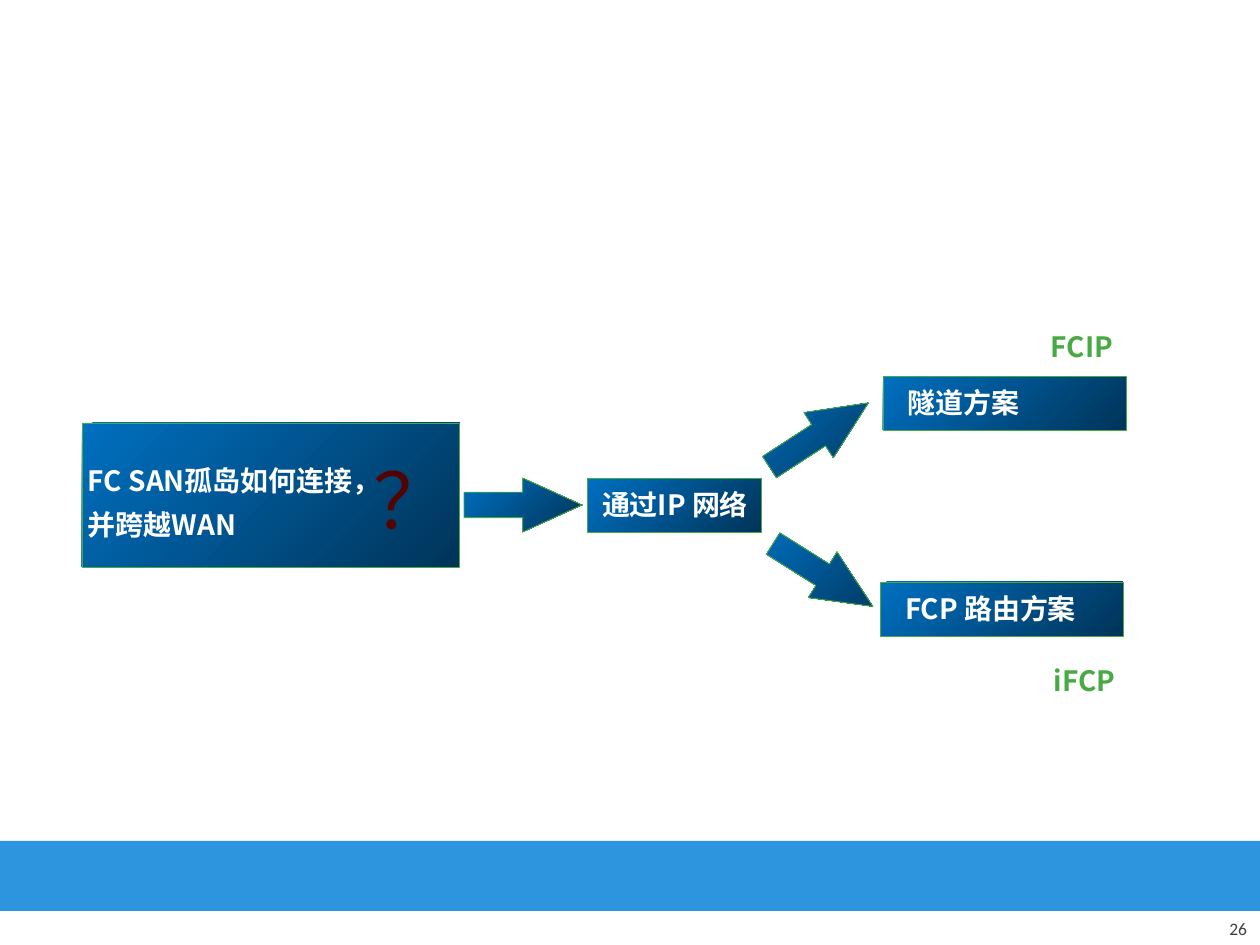
from pptx import Presentation
from pptx import util as u
from pptx.dml.color import RGBColor
from pptx.enum import shapes, text
from pptx.oxml.ns import qn

SCALE = 914400 / 126
CJK = "Noto Sans CJK SC"
COLORS = {
    "band": "2C95DD",
    "light": "0070C0",
    "dark": "003459",
    "green": "49A942",
    "white": "FFFFFF",
    "question": "520402",
    "number": "404040",
}


def px(value):
    """Turn pixels into EMU."""
    return u.Emu(round(value * SCALE))


def rgb(name):
    """Look up a named colour."""
    return RGBColor.from_string(COLORS[name])


def add_preset(slide, kind, box):
    """Add a preset shape without a shadow."""
    shape = slide.shapes.add_shape(kind, *map(px, box))
    shape.shadow.inherit = False
    return shape


def paint_gradient(shape):
    """Fill from upper left to lower right on the slide, whatever the rotation."""
    shape.fill.gradient()
    shape.fill.gradient_angle = (shape.rotation - 45) % 360
    for stop, name in zip(shape.fill.gradient_stops, ("light", "dark")):
        stop.color.rgb = rgb(name)
    shape.line.color.rgb = rgb("green")
    shape.line.width = u.Pt(0.5)


def write(shape, words, color, size=16, font=CJK, bold=True, left=6, top=10,
          right=6, align=text.PP_ALIGN.LEFT, wrap=True):
    """Put formatted lines of text into a shape."""
    frame = shape.text_frame
    frame.text = words
    frame.word_wrap = wrap
    frame.vertical_anchor = text.MSO_ANCHOR.TOP
    frame.margin_left, frame.margin_top = px(left), px(top)
    frame.margin_right, frame.margin_bottom = px(right), px(6)
    for index, paragraph in enumerate(frame.paragraphs):
        paragraph.alignment = align
        paragraph.line_spacing = u.Pt(round(size * 1.2))
        if index:
            paragraph.space_before = u.Pt(6)
        for run in paragraph.runs:
            run.font.size = u.Pt(size)
            run.font.bold = bold
            run.font.name = font
            run.font.color.rgb = rgb(color)
            east_asian = run.font._element.makeelement(qn("a:ea"), {"typeface": font})
            run.font._element.find(qn("a:latin")).addnext(east_asian)


def add_step(slide, box, words, **layout):
    """Add a gradient box with white text."""
    shape = add_preset(slide, shapes.MSO_SHAPE.RECTANGLE, box)
    paint_gradient(shape)
    write(shape, words, "white", **layout)


def add_arrow(slide, left, top, rotation=0):
    """Add a gradient block arrow."""
    shape = add_preset(slide, shapes.MSO_SHAPE.RIGHT_ARROW, (left, top, 118, 54))
    shape.adjustments[0], shape.adjustments[1] = 0.47, 1.1
    shape.rotation = rotation
    paint_gradient(shape)


def add_label(slide, box, words, color, **layout):
    """Add a plain text box."""
    shape = slide.shapes.add_textbox(*map(px, box))
    write(shape, words, color, **layout)
    return shape


def main():
    """Build and save the slide."""
    presentation = Presentation()
    presentation.slide_width, presentation.slide_height = px(1260), px(945)
    slide = presentation.slides.add_slide(presentation.slide_layouts[6])
    center = text.PP_ALIGN.CENTER

    band = add_preset(slide, shapes.MSO_SHAPE.RECTANGLE, (0, 841, 1260, 70))
    band.fill.solid()
    band.fill.fore_color.rgb = rgb("band")
    band.line.fill.background()
    number = add_label(slide, (1197, 913, 63, 32), "26", "number", size=10,
                       font="Calibri", bold=False, right=13,
                       align=text.PP_ALIGN.RIGHT)
    number.text_frame.vertical_anchor = text.MSO_ANCHOR.BOTTOM

    add_step(slide, (82, 423, 378, 144), "FC SAN孤岛如何连接，\n并跨越WAN", top=41)
    add_arrow(slide, 464, 478)
    add_label(slide, (365, 438, 95, 137), "？", "question", size=44, bold=False,
              left=9, top=14, right=0)
    add_step(slide, (588, 478, 174, 54), "通过IP 网络", align=center, wrap=False)
    add_arrow(slide, 760, 408, 327)
    add_arrow(slide, 764, 548, 32.2)
    add_step(slide, (883, 376, 243, 54), "隧道方案", left=25)
    add_step(slide, (880, 582, 243, 54), "FCP 路由方案", left=25)
    add_label(slide, (1034, 320, 96, 47), "FCIP", "green", align=center)
    add_label(slide, (1034, 654, 101, 47), "iFCP", "green", align=center)
    presentation.save("out.pptx")


if __name__ == "__main__":
    main()
